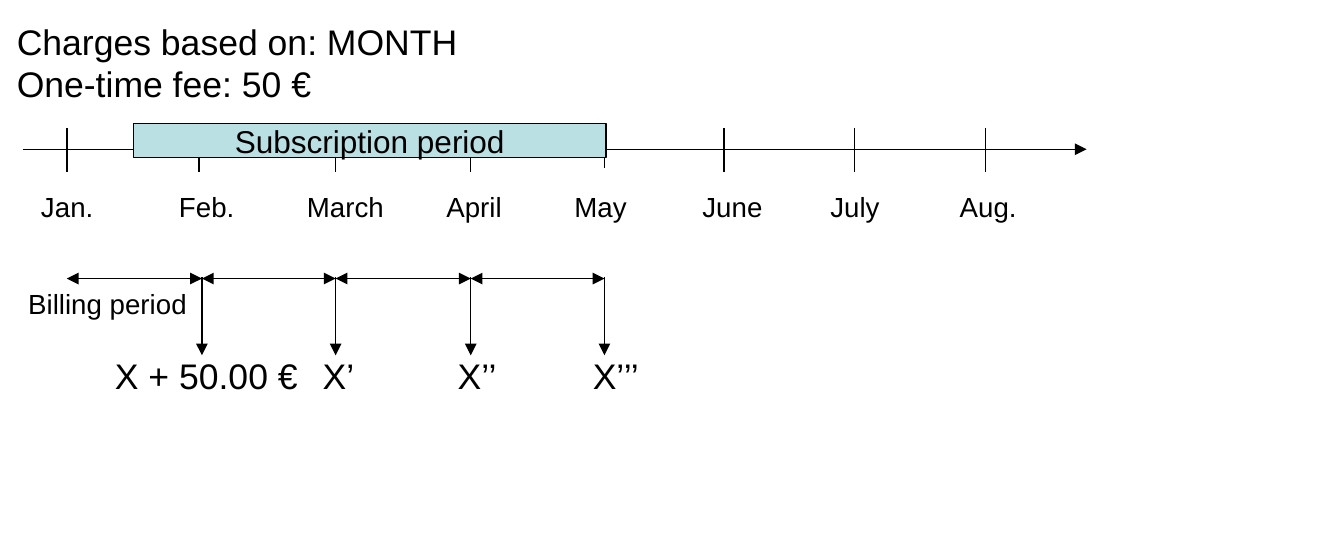
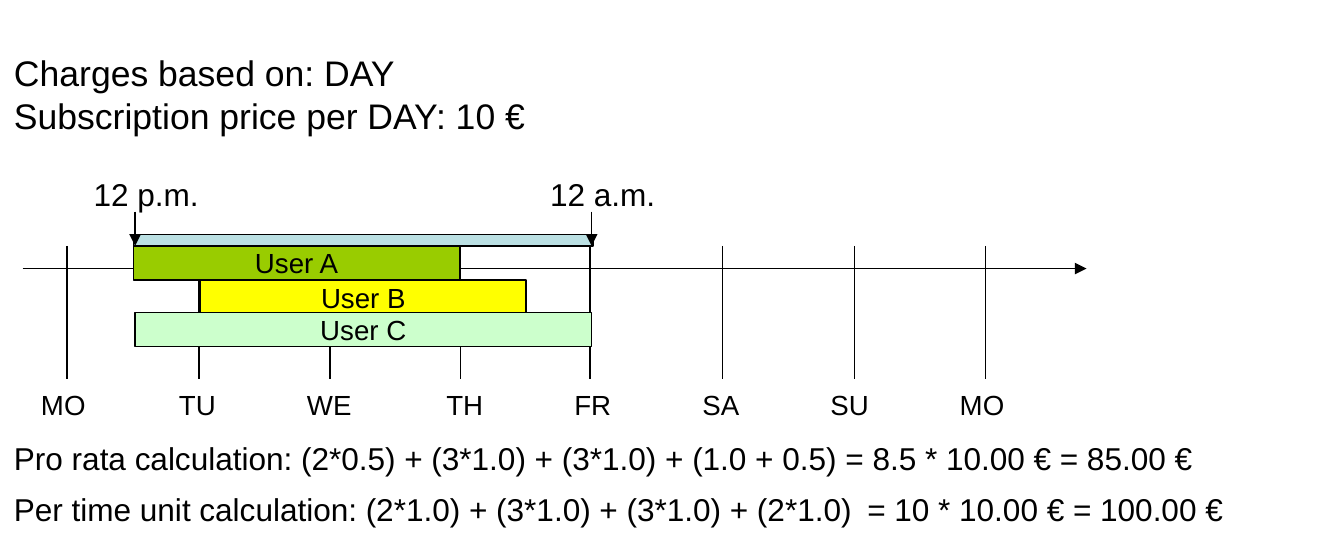
from itertools import pairwise

from lxml.etree import SubElement
from pptx import Presentation
from pptx.dml.color import RGBColor
from pptx.enum.shapes import MSO_CONNECTOR as Connector, MSO_SHAPE as Shape
from pptx.enum.text import MSO_ANCHOR as Anchor, MSO_AUTO_SIZE as AutoSize, PP_ALIGN as Align
from pptx.oxml.ns import qn
from pptx.util import Emu, Pt

PX = 9144  # 100 px to the inch
PAGE_WIDTH, PAGE_HEIGHT = 945, 394
FONT = "Arial"
HEADING, NOTE, LABEL = 18, 16, 14  # text sizes in points
COLORS = {
    "ink": "000000",
    "period": "BBE0E3",
    "user_a": "99CC00",
    "user_b": "FFFF00",
    "user_c": "CCFFCC",
}
LABEL_LEFTS = (19, 116, 206, 304, 394, 484, 574, 665)
BAR_HEIGHT = 24


def px(*lengths):
    return [Emu(length * PX) for length in lengths]


def color(name):
    return RGBColor.from_string(COLORS[name])


def style_line(line):
    line.color.rgb = color("ink")
    line.width = Pt(0.75)


def style_font(para, size):
    para.font.name = FONT
    para.font.size = Pt(size)
    para.font.color.rgb = color("ink")


def add_tab_stop(para, position):
    tabs = SubElement(para._p.get_or_add_pPr(), qn("a:tabLst"))
    SubElement(tabs, qn("a:tab"), pos=str(position * PX), algn="l")


def add_text(page, text, left, top, width, height, size, wrap=False, tab=None):
    box = page.shapes.add_textbox(*px(left, top, width, height))
    frame = box.text_frame
    frame.word_wrap = wrap
    frame.auto_size = AutoSize.SHAPE_TO_FIT_TEXT
    frame.text = text
    for para in frame.paragraphs:
        if tab:
            add_tab_stop(para, tab)
        style_font(para, size)


def add_line(page, x1, y1, x2, y2, heads=()):
    """Draw a straight line; heads may name headEnd (start) and tailEnd (end)."""
    line = page.shapes.add_connector(Connector.STRAIGHT, *px(x1, y1, x2, y2))
    style_line(line.line)
    outline = line.line._get_or_add_ln()
    for head in heads:
        SubElement(outline, qn(f"a:{head}"), type="triangle")
    SubElement(line._element.spPr, qn("a:effectLst"))


def add_arrow(page, x1, y1, x2, y2):
    add_line(page, x1, y1, x2, y2, ["tailEnd"])


def add_bar(page, fill, left, top, width, height=BAR_HEIGHT, text="", size=LABEL):
    bar = page.shapes.add_shape(Shape.RECTANGLE, *px(left, top, width, height))
    bar.shadow.inherit = False
    bar.fill.solid()
    bar.fill.fore_color.rgb = color(fill)
    style_line(bar.line)
    if text:
        frame = bar.text_frame
        frame.word_wrap = False
        frame.vertical_anchor = Anchor.MIDDLE
        frame.text = text
        para = frame.paragraphs[0]
        para.alignment = Align.CENTER
        style_font(para, size)


def add_timeline(page, axis_y, ticks, labels, label_top):
    """Draw the axis, its ticks (x, top, bottom) and its labels (text, width)."""
    add_arrow(page, 16, axis_y, 764, axis_y)
    for x, top, bottom in ticks:
        add_line(page, x, top, x, bottom)
    for left, (text, width) in zip(LABEL_LEFTS, labels):
        add_text(page, text, left, label_top, width, 34, LABEL)


def build_month_page(page):
    add_text(page, "Charges based on: MONTH\nOne-time fee: 50 €", 2, 9, 333, 70, HEADING)
    ticks = [(x, 90, 121) for x in (47, 140, 236, 331, 509, 601, 693)]
    ticks.append((425, 87, 118))
    months = [("Jan.", 60), ("Feb.", 62), ("March", 77), ("April", 62),
              ("May", 60), ("June", 65), ("July", 57), ("Aug.", 63)]
    add_timeline(page, 105, ticks, months, 129)
    add_bar(page, "period", 94, 87, 332, text="Subscription period", size=NOTE)

    billing_dates = (47, 142, 236, 331, 425)
    for start, end in pairwise(billing_dates):
        add_line(page, start, 196, end, 196, ["headEnd", "tailEnd"])
    add_text(page, "Billing period", 10, 197, 152, 34, LABEL, wrap=True)
    charges = [("X + 50.00 €", 71, 152), ("X’", 217, 45), ("X’’", 312, 51), ("X’’’", 407, 56)]
    for x, (text, left, width) in zip(billing_dates[1:], charges):
        add_arrow(page, x, 195, x, 250)
        add_text(page, text, left, 244, width, 40, HEADING)


def build_day_page(page):
    add_text(page, "Charges based on: DAY\nSubscription price per DAY: 10 €",
             0, 31, 385, 100, HEADING)
    ticks = [(x, 173, 267) for x in (47, 140, 232, 324, 415, 508, 601, 693)]
    days = [("MO", 54), ("TU", 49), ("WE", 54), ("TH", 49),
            ("FR", 49), ("SA", 49), ("SU", 50), ("MO", 54)]
    add_timeline(page, 189, ticks, days, 268)

    add_bar(page, "period", 94, 165, 323, 8)
    for text, x in (("12 p.m.", 95), ("12 a.m.", 416)):
        add_arrow(page, x, 149, x, 173)
        add_text(page, text, x - 39, 118, 97, 37, NOTE)
    users = [("User A", "user_a", 94, 173, 229),
             ("User B", "user_b", 141, 197, 229),
             ("User C", "user_c", 95, 220, 321)]
    for text, fill, left, top, width in users:
        add_bar(page, fill, left, top, width, text=text)

    calculations = [
        ("Pro rata calculation: (2*0.5) + (3*1.0) + (3*1.0) + (1.0 + 0.5)"
         " = 8.5 * 10.00 € = 85.00 €", 304, 929),
        ("Per time unit calculation: (2*1.0) + (3*1.0) + (3*1.0) + (2*1.0)"
         "\t= 10 * 10.00 € = 100.00 €", 340, 945),
    ]
    for text, top, width in calculations:
        add_text(page, text, 0, top, width, 37, NOTE, wrap=True, tab=600)


def main():
    deck = Presentation()
    deck.slide_width, deck.slide_height = px(PAGE_WIDTH, PAGE_HEIGHT)
    blank = deck.slide_layouts[6]
    for build in (build_month_page, build_day_page):
        build(deck.slides.add_slide(blank))
    deck.save("out.pptx")


if __name__ == "__main__":
    main()
